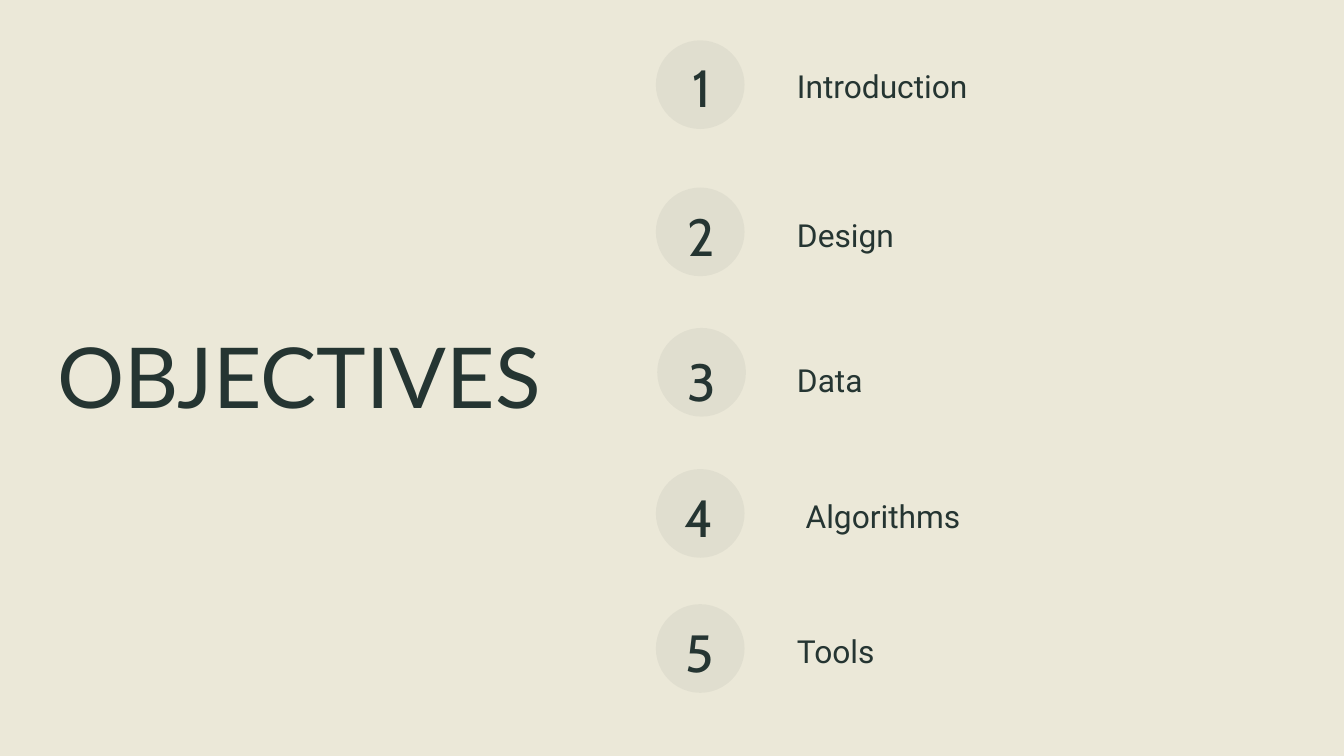
from dataclasses import dataclass

from lxml.etree import SubElement
from pptx import Presentation
from pptx.dml.color import RGBColor
from pptx.enum.shapes import MSO_SHAPE
from pptx.enum.text import MSO_AUTO_SIZE, PP_ALIGN
from pptx.oxml.ns import qn
from pptx.util import Inches, Pt

SLIDE_W, SLIDE_H = Inches(20), Inches(11.25)
CELL = SLIDE_W / 200  # square grid cell: 200 columns by 112.5 rows


@dataclass(frozen=True)
class TextStyle:
    font: str
    size: float
    leading: float


@dataclass(frozen=True)
class Theme:
    background = RGBColor.from_string("EBE8D8")
    ink = RGBColor.from_string("253532")
    disc_opacity = 5
    title = TextStyle("Lato", 90, 99)
    label = TextStyle("Roboto", 34, 47.6)
    number = TextStyle("Cabin", 56, 78.4)


THEME = Theme()
DISC_SIZE = 13.2
DISC_COL = 97.6
NUMBER_H = 10.5
LABEL_COL, LABEL_W, LABEL_H = 118.6, 70.2, 6.4
LABEL_DROP = 2.35  # rows from the top of a number to the top of its label


@dataclass(frozen=True)
class Objective:
    """One agenda entry, placed in grid columns and rows."""
    label: str
    disc_row: float
    number_row: float
    number_center: float = 104.4
    disc_shift: float = 0
    label_w: float = LABEL_W
    label_align: PP_ALIGN = PP_ALIGN.LEFT


OBJECTIVES = [
    Objective("Introduction", 6, 6.7),
    Objective("Design", 27.9, 28.8),
    Objective("Data", 48.8, 50.4, disc_shift=0.2),
    Objective("Algorithms", 69.8, 70.7, number_center=104.1,
              label_w=25.6, label_align=PP_ALIGN.CENTER),
    Objective("Tools", 89.9, 90.7, number_center=104.1),
]


def grid(*cells):
    return [round(c * CELL) for c in cells]


def add_text(s, text, box, style, align=PP_ALIGN.LEFT):
    tf = s.shapes.add_textbox(*grid(*box)).text_frame
    tf.margin_left = tf.margin_right = tf.margin_top = tf.margin_bottom = 0
    tf.word_wrap = True
    tf.auto_size = MSO_AUTO_SIZE.SHAPE_TO_FIT_TEXT
    tf.text = text
    p = tf.paragraphs[0]
    p.alignment = align
    p.line_spacing = Pt(style.leading)
    font = p.runs[0].font
    font.name, font.size = style.font, Pt(style.size)
    font.color.rgb = THEME.ink


def add_disc(s, col, row):
    sp = s.shapes.add_shape(MSO_SHAPE.OVAL, *grid(col, row, DISC_SIZE, DISC_SIZE))
    sp.shadow.inherit = False
    sp.line.fill.background()
    sp.fill.solid()
    sp.fill.fore_color.rgb = THEME.ink
    color = sp.fill._xPr.find(qn("a:solidFill"))[0]
    SubElement(color, qn("a:alpha")).set("val", str(THEME.disc_opacity * 1000))


def add_objective(s, number, item):
    """Add the disc, its number and the label beside it."""
    add_disc(s, DISC_COL + item.disc_shift, item.disc_row)
    number_col = item.number_center - DISC_SIZE / 2
    add_text(s, str(number), (number_col, item.number_row, DISC_SIZE, NUMBER_H),
             THEME.number, PP_ALIGN.CENTER)
    add_text(s, item.label,
             (LABEL_COL, item.number_row + LABEL_DROP, item.label_w, LABEL_H),
             THEME.label, item.label_align)


def main():
    prs = Presentation()
    prs.slide_width, prs.slide_height = SLIDE_W, SLIDE_H
    s = prs.slides.add_slide(prs.slide_layouts[6])
    s.background.fill.solid()
    s.background.fill.fore_color.rgb = THEME.background

    add_text(s, "OBJECTIVES", (8.5, 49.6, 79.9, 14.2), THEME.title)
    for number, item in enumerate(OBJECTIVES, 1):
        add_objective(s, number, item)
    prs.save("out.pptx")


if __name__ == "__main__":
    main()
